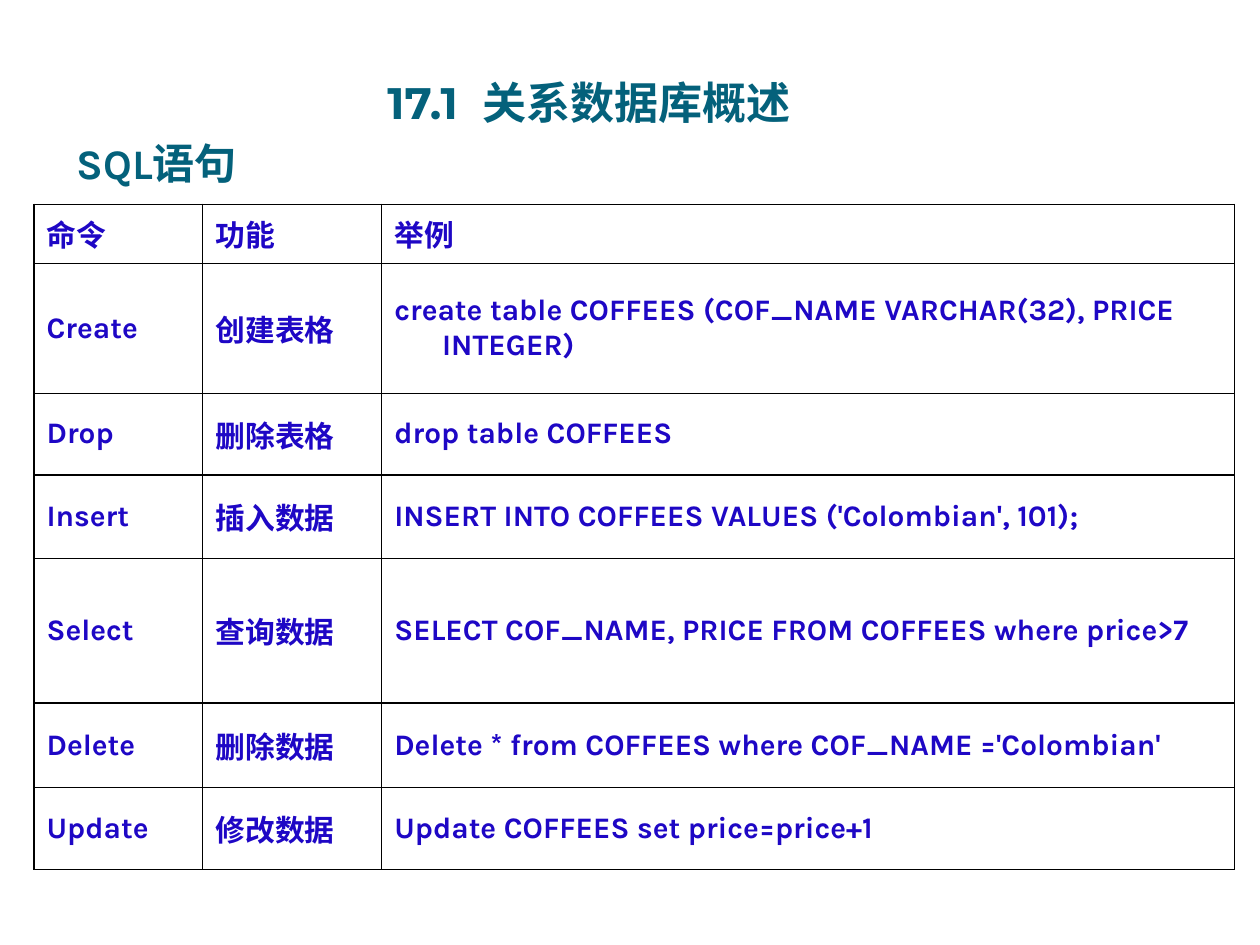
from lxml.etree import SubElement
from pptx import Presentation
from pptx.dml.color import RGBColor
from pptx.enum.text import MSO_ANCHOR, PP_ALIGN
from pptx.oxml.ns import qn
from pptx.util import Inches, Pt

TEAL = RGBColor(0x04, 0x61, 0x7B)
BLUE = RGBColor(0x1E, 0x07, 0xC5)
BLACK = RGBColor(0, 0, 0)
HEAD, BODY = "Montserrat", "Karla"

TITLE = ["17.1", " ", "关系数据库概述"]
TOPIC = "SQL语句"
ROWS = [
    ("命令", "功能", "举例"),
    ("Create", "创建表格",
     "create table COFFEES (COF_NAME VARCHAR(32), PRICE INTEGER)"),
    ("Drop", "删除表格", "drop table COFFEES"),
    ("Insert", "插入数据", "INSERT INTO COFFEES VALUES ('Colombian', 101);"),
    ("Select", "查询数据", "SELECT COF_NAME, PRICE FROM COFFEES where price>7"),
    ("Delete", "删除数据", "Delete * from COFFEES where COF_NAME ='Colombian'"),
    ("Update", "修改数据", "Update COFFEES set price=price+1"),
]
WIDTHS = [1.34, 1.42, 6.77]
HEIGHTS = [0.47, 1.03, 0.65, 0.66, 1.15, 0.67, 0.65]
LEFT, TOP = 0.27, 1.62
HANG = 0.38


def add_run(para, text, font, size, color):
    run = para.add_run()
    run.text = text
    run.font.name = font
    run.font.size = Pt(size)
    run.font.bold = True
    run.font.color.rgb = color
    return run


def add_box(slide, *place):
    """Add a wrapping, bottom-anchored text box and return its frame."""
    frame = slide.shapes.add_textbox(*map(Inches, place)).text_frame
    frame.word_wrap = True
    frame.vertical_anchor = MSO_ANCHOR.BOTTOM
    return frame


def set_lines(cell):
    """Draw a thin line on all four sides of the cell."""
    props = cell._tc.get_or_add_tcPr()
    for side in ("lnL", "lnR", "lnT", "lnB"):
        line = SubElement(props, qn(f"a:{side}"), w=str(Pt(0.75)))
        fill = SubElement(line, qn("a:solidFill"))
        SubElement(fill, qn("a:srgbClr"), val=str(BLACK))


def fill_cell(cell, text):
    set_lines(cell)
    cell.fill.background()
    cell.vertical_anchor = MSO_ANCHOR.MIDDLE
    para = cell.text_frame.paragraphs[0]
    props = para._p.get_or_add_pPr()
    props.set("marL", str(Inches(HANG)))
    props.set("indent", str(-Inches(HANG)))
    add_run(para, text, BODY, 17, BLUE)


def add_title(slide):
    frame = add_box(slide, 0.55, 0.47, 8.25, 0.55)
    frame.margin_left = frame.margin_right = frame.margin_bottom = 0
    para = frame.paragraphs[0]
    para.alignment = PP_ALIGN.CENTER
    runs = [add_run(para, text, HEAD, 25.2, TEAL) for text in TITLE]
    # Widen the gap after the section number (hundredths of a point)
    runs[1]._r.get_or_add_rPr().set("spc", "660")


def add_topic(slide):
    para = add_box(slide, 0.51, 0.84, 2.68, 0.7).paragraphs[0]
    para.line_spacing = 1.5
    add_run(para, TOPIC, BODY, 24, TEAL)


def add_grid(slide):
    place = map(Inches, (LEFT, TOP, sum(WIDTHS), sum(HEIGHTS)))
    table = slide.shapes.add_table(len(ROWS), len(WIDTHS), *place).table
    table.first_row = table.horz_banding = False
    for col, width in zip(table.columns, WIDTHS):
        col.width = Inches(width)
    for row, height, texts in zip(table.rows, HEIGHTS, ROWS):
        row.height = Inches(height)
        for cell, text in zip(row.cells, texts):
            fill_cell(cell, text)


def main():
    deck = Presentation()
    deck.slide_width, deck.slide_height = Inches(10), Inches(7.5)
    slide = deck.slides.add_slide(deck.slide_layouts[6])
    add_title(slide)
    add_grid(slide)
    add_topic(slide)
    deck.save("out.pptx")


if __name__ == "__main__":
    main()
